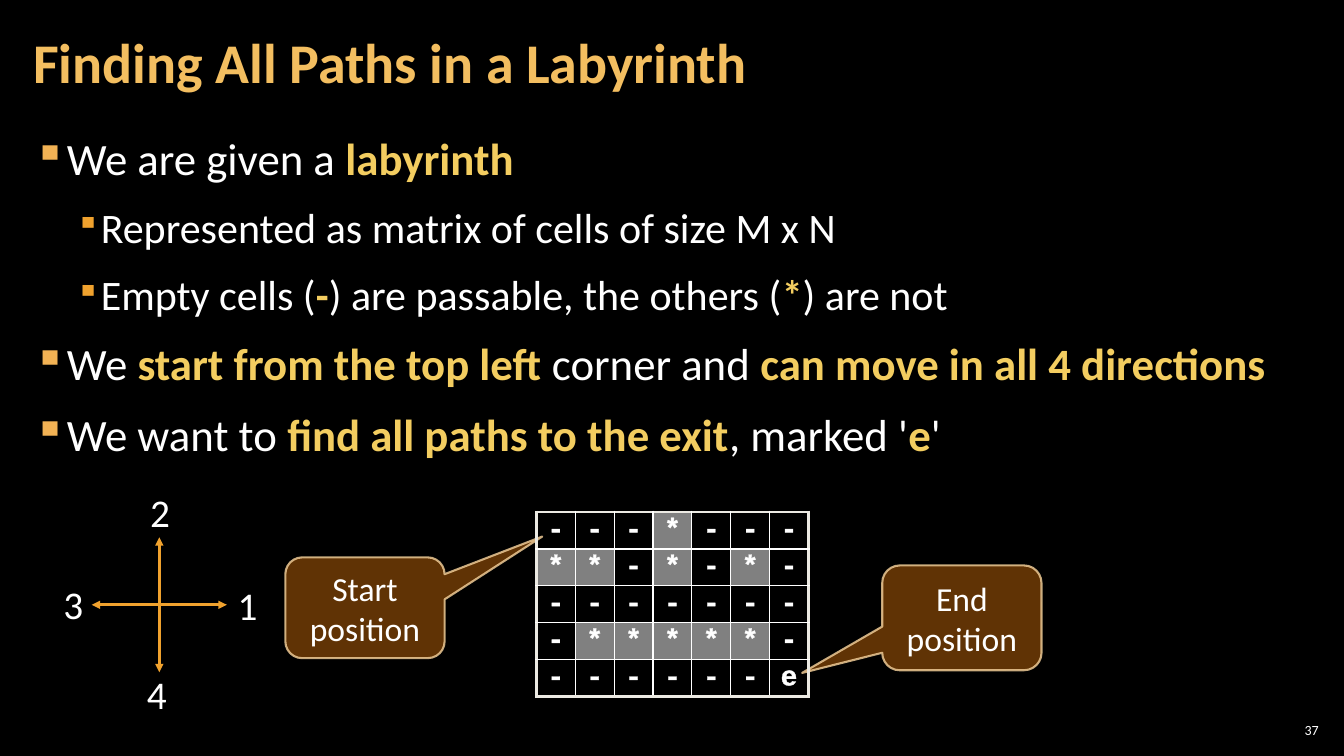
"""Build the labyrinth path-finding slide."""
from dataclasses import dataclass

from lxml.etree import SubElement
from pptx import Presentation
from pptx.dml.color import RGBColor
from pptx.enum.shapes import MSO_CONNECTOR, MSO_SHAPE
from pptx.enum.text import MSO_ANCHOR, MSO_AUTO_SIZE, PP_ALIGN
from pptx.oxml.ns import qn
from pptx.util import Inches, Pt


@dataclass(frozen=True)
class Theme:
    font: str = "Calibri"
    mono: str = "Courier New"
    back: str = "000000"
    text: str = "FFFFFF"
    title: str = "F3BE60"
    strong: str = "F3CD60"
    bullets: tuple = ("F2B254", "F0A22E")
    arrow: str = "F0A22E"
    callout: str = "663606"
    callout_line: str = "F8D49E"
    wall: str = "808080"
    frame: str = "ECEAE3"
    glyph_line: str = "F2F2F2"
    title_size: int = 40
    body_sizes: tuple = (32, 30)
    label_size: int = 28
    callout_size: int = 24
    cell_size: int = 20
    number_size: int = 10


BULLETS = [
    (0, ["We are given a ", "labyrinth"]),
    (1, ["Represented as matrix of cells of size M x N"]),
    (1, ["Empty cells (", "-", ") are passable, the others (", "*", ") are not"]),
    (0, ["We ", "start from the top left", " corner and ", "can move in all 4 directions"]),
    (0, ["We want to ", "find all paths to the exit", ", marked '", "e", "'"]),
]
LABYRINTH = ["---*---", "**-*-*-", "-------", "-*****-", "------e"]
DIRECTIONS = [("1", 2.26, 5.72), ("2", 1.39, 4.8), ("3", 0.53, 5.71), ("4", 1.36, 6.6)]
ARROWS = [(1.58, 5.33, 1.58, 6.67), (0.91, 6, 2.25, 6)]
CALLOUTS = [
    ("Start position", (2.83, 5.53, 1.58, 1), (1.113, -0.707, 0.167)),
    ("End position", (8.75, 5.61, 1.58, 1.04), (-1.003, 0.525, 0.167)),
]


class SlideBuilder:
    """Draw themed elements on one slide."""

    def __init__(self, s, theme):
        self.s = s
        self.theme = theme
        s.background.fill.solid()
        s.background.fill.fore_color.rgb = RGBColor.from_string(theme.back)

    def run(self, p, text, size, color=None, bold=False, font=None):
        r = p.add_run()
        r.text = text
        r.font.size = Pt(size)
        r.font.bold = bold
        r.font.name = font or self.theme.font
        r.font.color.rgb = RGBColor.from_string(color or self.theme.text)
        return r

    def solid(self, parent, color):
        fill = SubElement(parent, qn("a:solidFill"))
        SubElement(fill, qn("a:srgbClr"), val=color)

    def alpha(self, shape, tag, percent):
        color = shape._element.spPr.find(tag + "/" + qn("a:srgbClr"))
        SubElement(color, qn("a:alpha"), val=str(percent * 1000))

    def frame(self, box, inset=(0.1, 0.05), anchor=MSO_ANCHOR.TOP, wrap=True):
        tf = self.s.shapes.add_textbox(*map(Inches, box)).text_frame
        tf.word_wrap = wrap
        tf.vertical_anchor = anchor
        tf.margin_left = tf.margin_right = Inches(inset[0])
        tf.margin_top = tf.margin_bottom = Inches(inset[1])
        return tf

    def title(self, text):
        tf = self.frame((0.21, 0.04, 10.47, 1.21), (0.12, 0.04), MSO_ANCHOR.MIDDLE)
        p = tf.paragraphs[0]
        p.line_spacing = 0.9
        self.run(p, text, self.theme.title_size, self.theme.title, True)

    def slide_number(self, text):
        tf = self.frame((12.65, 7.14, 0.47, 0.21), (0.04, 0.04), MSO_ANCHOR.MIDDLE)
        p = tf.paragraphs[0]
        p.alignment = PP_ALIGN.RIGHT
        self.run(p, text, self.theme.number_size)

    def bullets(self, items):
        tf = self.frame((0.21, 1.26, 12.91, 6.09), (0.12, 0.04))
        for i, (level, parts) in enumerate(items):
            p = tf.add_paragraph() if i else tf.paragraphs[0]
            p.level = level
            p.space_before = p.space_after = Pt(6)
            self.bullet(p, level)
            for j, part in enumerate(parts):
                strong = j % 2 == 1
                color = self.theme.strong if strong else self.theme.text
                self.run(p, part, self.theme.body_sizes[level], color, strong)

    def bullet(self, p, level):
        pPr = p._p.get_or_add_pPr()
        pPr.set("marL", str(Inches((0.33, 0.67)[level])))
        pPr.set("indent", str(-Inches((0.33, 0.25)[level])))
        color = SubElement(pPr, qn("a:buClr"))
        SubElement(color, qn("a:srgbClr"), val=self.theme.bullets[level])
        SubElement(pPr, qn("a:buSzPct"), val=("100000", "80000")[level])
        SubElement(pPr, qn("a:buChar"), char="▪")

    def callout(self, text, box, adjustments):
        sp = self.s.shapes.add_shape(MSO_SHAPE.ROUNDED_RECTANGULAR_CALLOUT, *map(Inches, box))
        sp.shadow.inherit = False
        for i, value in enumerate(adjustments):
            sp.adjustments[i] = value
        sp.fill.solid()
        sp.fill.fore_color.rgb = RGBColor.from_string(self.theme.callout)
        sp.line.color.rgb = RGBColor.from_string(self.theme.callout_line)
        sp.line.width = Pt(1.5)
        self.alpha(sp, qn("a:solidFill"), 95)
        self.alpha(sp, qn("a:ln") + "/" + qn("a:solidFill"), 80)
        tf = sp.text_frame
        tf.word_wrap = True
        tf.vertical_anchor = MSO_ANCHOR.MIDDLE
        p = tf.paragraphs[0]
        p.alignment = PP_ALIGN.CENTER
        self.run(p, text, self.theme.callout_size)

    def labyrinth(self, grid):
        rows, cols = len(grid), len(grid[0])
        box = map(Inches, (5.32, 5.08, 2.7, 1.83))
        table = self.s.shapes.add_table(rows, cols, *box).table
        table.first_row = table.horz_banding = False
        for i, line in enumerate(grid):
            for j, mark in enumerate(line):
                outer = {"L": j == 0, "R": j == cols - 1, "T": i == 0, "B": i == rows - 1}
                self.cell(table.cell(i, j), mark, outer)

    def cell(self, cell, mark, outer):
        cell.margin_left = cell.margin_right = Inches(0.04)
        cell.margin_top = cell.margin_bottom = 0
        cell.vertical_anchor = MSO_ANCHOR.MIDDLE
        tcPr = cell._tc.get_or_add_tcPr()
        for side, is_outer in outer.items():
            width = Pt(2.25 if is_outer else 1)
            ln = SubElement(tcPr, qn("a:ln" + side), w=str(width))
            self.solid(ln, self.theme.frame if is_outer else self.theme.text)
        if mark == "*":
            cell.fill.solid()
            cell.fill.fore_color.rgb = RGBColor.from_string(self.theme.wall)
        else:
            cell.fill.background()
        p = cell.text_frame.paragraphs[0]
        p.alignment = PP_ALIGN.CENTER
        p.space_before = Pt(6)
        r = self.run(p, mark, self.theme.cell_size, bold=True, font=self.theme.mono)
        rPr = r._r.get_or_add_rPr()
        ln = SubElement(rPr, qn("a:ln"), w=str(Pt(0.75)))
        self.solid(ln, self.theme.glyph_line)
        rPr.insert(0, ln)

    def arrow(self, *ends):
        line = self.s.shapes.add_connector(MSO_CONNECTOR.STRAIGHT, *map(Inches, ends))
        line.line.color.rgb = RGBColor.from_string(self.theme.arrow)
        line.line.width = Pt(2)
        ln = line.line._get_or_add_ln()
        for tag in ("a:headEnd", "a:tailEnd"):
            SubElement(ln, qn(tag), type="triangle")
        SubElement(line._element.spPr, qn("a:effectLst"))

    def label(self, text, left, top):
        tf = self.frame((left, top, 0.4, 0.57), wrap=text in "13")
        tf.auto_size = MSO_AUTO_SIZE.SHAPE_TO_FIT_TEXT
        self.run(tf.paragraphs[0], text, self.theme.label_size)


def main():
    prs = Presentation()
    prs.slide_width, prs.slide_height = Inches(13.33), Inches(7.5)
    b = SlideBuilder(prs.slides.add_slide(prs.slide_layouts[6]), Theme())
    b.slide_number("37")
    b.bullets(BULLETS)
    b.title("Finding All Paths in a Labyrinth")
    for callout in CALLOUTS:
        b.callout(*callout)
    b.labyrinth(LABYRINTH)
    for ends in ARROWS:
        b.arrow(*ends)
    for direction in DIRECTIONS:
        b.label(*direction)
    prs.save("out.pptx")


if __name__ == "__main__":
    main()
